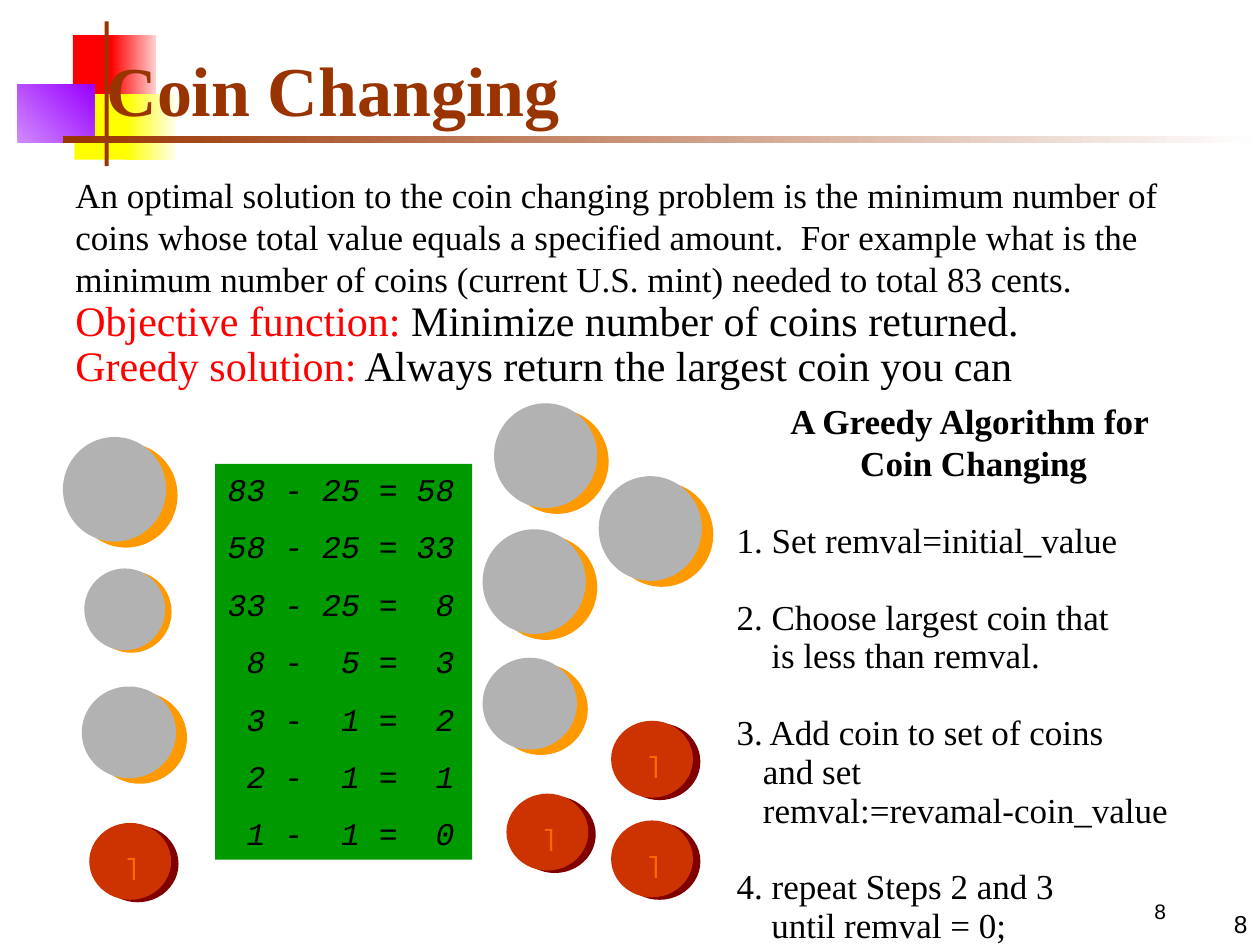
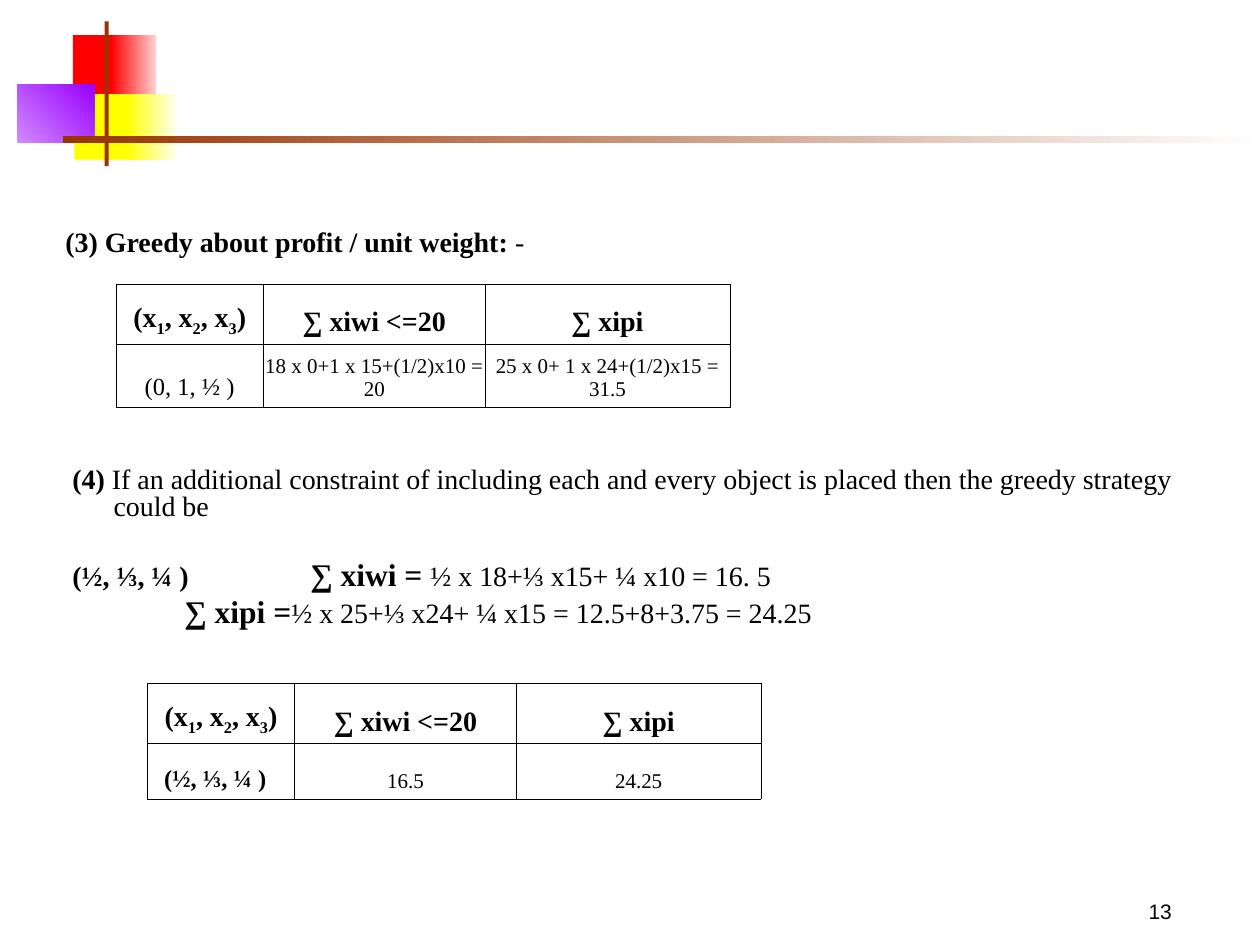
from lxml.etree import SubElement
from pptx import Presentation
from pptx.dml.color import RGBColor
from pptx.enum.shapes import MSO_SHAPE as SHAPE
from pptx.enum.text import MSO_ANCHOR as ANCHOR, PP_ALIGN as ALIGN
from pptx.oxml.ns import qn
from pptx.util import Cm, Pt

BLACK, WHITE, RED, BROWN = "000000", "FFFFFF", "FF0000", "993300"
YELLOW, ORANGE, SILVER, GREEN = "FFFF00", "FF9900", "B2B2B2", "009900"
COPPER, MAROON, AMBER = "CC3300", "800000", "FF6600"
TAB_STEP = 2.54


def paint(target, *colours, angle=0):
    """Fill a shape, cell or font with one colour, or a gradient of two."""
    if hasattr(target, "shadow"):
        target.shadow.inherit = False
        target.line.fill.background()
    if len(colours) == 1:
        target.fill.solid()
        target.fill.fore_color.rgb = RGBColor.from_string(colours[0])
        return
    target.fill.gradient()
    target.fill.gradient_angle = angle
    for stop, colour in zip(target.fill.gradient_stops, colours):
        stop.color.rgb = RGBColor.from_string(colour)


def write(frame, text, align=ALIGN.LEFT, anchor=ANCHOR.TOP, wrap=True, before=0,
          line=1.0, indent=0, hanging=0, **font):
    """Add a paragraph; text is a string or a list of (string, font changes)."""
    frame.word_wrap, frame.vertical_anchor = wrap, anchor
    para = frame.paragraphs[-1]
    if para.runs:
        para = frame.add_paragraph()
    para.alignment, para.line_spacing, para.space_before = align, line, Pt(before)
    pieces = [(text, {})] if isinstance(text, str) else text

    settings = para._p.get_or_add_pPr()
    settings.set("marL", str(int(Cm(indent))))
    settings.set("indent", str(int(Cm(-hanging))))
    if any("\t" in words for words, _ in pieces):
        stops = SubElement(settings, qn("a:tabLst"))
        for number in range(3):
            SubElement(stops, qn("a:tab"), pos=str(int(Cm(number * TAB_STEP))), algn="l")

    for words, changes in pieces:
        style = {"name": "Times New Roman", "size": 20, "bold": False,
                 "italic": False, "colour": BLACK, "baseline": 0} | font | changes
        span = para.add_run()
        span.text = words
        span.font.name, span.font.size = style["name"], Pt(style["size"])
        span.font.bold, span.font.italic = style["bold"], style["italic"]
        paint(span.font, style["colour"])
        if style["baseline"]:
            span._r.get_or_add_rPr().set("baseline", str(style["baseline"] * 1000))


deck = Presentation()
deck.slide_width, deck.slide_height = Cm(25.4), Cm(19.05)

# Shared decoration and page number: left, top, width, height, colours, angle
decoration = [
    (1.47, 0.71, 0.89, 1.32, [RED], 0),
    (2.24, 0.71, 0.91, 1.32, [RED, "FFD1D1"], 0),
    (1.5, 1.9, 1.17, 1.32, [YELLOW], 0),
    (2.54, 1.9, 1.02, 1.32, [YELLOW, "FFFFF0"], 0),
    (0.35, 1.7, 1.55, 1.18, ["D18BFF", "9900FF"], 45),
    (2.11, 0.43, 0.08, 2.92, [BROWN], 0),
    (1.27, 2.74, 24.13, 0.14, [BROWN, WHITE], 0),
]
for number in ("8", "13"):
    page = deck.slides.add_slide(deck.slide_layouts[6])
    for left, top, width, height, colours, angle in decoration:
        block = page.shapes.add_shape(SHAPE.RECTANGLE, Cm(left), Cm(top), Cm(width), Cm(height))
        paint(block, *colours, angle=angle)
    box = page.shapes.add_textbox(Cm(22.02), Cm(17.98), Cm(2.74), Cm(0.84))
    write(box.text_frame, number, align=ALIGN.CENTER, before=7.5, name="Arial", size=12)
coin_page, profit_page = deck.slides

# Coin page: second number, title and introduction
box = coin_page.shapes.add_textbox(Cm(20.12), Cm(17.78), Cm(5.28), Cm(1.27))
write(box.text_frame, "8", align=ALIGN.RIGHT, anchor=ANCHOR.BOTTOM, name="Arial", size=14)

box = coin_page.shapes.add_textbox(Cm(1.9), Cm(0.64), Cm(21.59), Cm(2.11))
write(box.text_frame, "Coin Changing", anchor=ANCHOR.BOTTOM, size=40, bold=True, colour=BROWN)

box = coin_page.shapes.add_textbox(Cm(1.27), Cm(3.38), Cm(23.06), Cm(6.17))
write(box.text_frame,
      "An optimal solution to the coin changing problem is the minimum number of coins "
      "whose total value equals a specified amount.  For example what is the minimum "
      "number of coins (current U.S. mint) needed to total 83 cents.", before=12.5)
for label, rest in [("Objective function:", " Minimize number of coins returned."),
                    ("Greedy solution:", " Always return the largest coin you can")]:
    write(box.text_frame, [(label, {"colour": RED}), (rest, {})], line=0.9, size=24)

# Subtractions, one coin at a time
panel = coin_page.shapes.add_shape(SHAPE.RECTANGLE, Cm(4.34), Cm(9.35), Cm(5.18), Cm(7.98))
paint(panel, GREEN)
remaining = 83
for coin in (25, 25, 25, 5, 1, 1, 1):
    write(panel.text_frame, f"{remaining:>2} - {coin:>2} = {remaining - coin:>2}",
          before=11.2, name="Courier New", size=18, italic=True)
    remaining -= coin

# Coins: width, height, shadow offsets, shadow and face colours, label, places
coins = [
    (2.08, 2.11, 0.23, 0.12, ORANGE, SILVER, "",
     [(1.27, 8.81), (9.73, 10.67), (12.07, 9.6), (9.96, 8.13)]),
    (1.63, 1.65, 0.13, 0.05, ORANGE, SILVER, "", [(1.7, 11.46)]),
    (1.9, 1.85, 0.22, 0.11, ORANGE, SILVER, "", [(1.65, 13.84), (9.73, 13.26)]),
    (1.65, 1.55, 0.15, 0.05, MAROON, COPPER, "1",
     [(1.8, 16.59), (10.21, 16), (12.32, 14.53), (12.32, 16.54)]),
]
for width, height, across, down, shade, face, label, places in coins:
    for left, top in places:
        for x, y, colour in [(left + across, top + down, shade), (left, top, face)]:
            disc = coin_page.shapes.add_shape(SHAPE.OVAL, Cm(x), Cm(y), Cm(width), Cm(height))
            paint(disc, colour)
        if label:
            box = coin_page.shapes.add_textbox(Cm(left + 0.64), Cm(top + 0.41), Cm(0.38), Cm(0.76))
            write(box.text_frame, label, wrap=False, name="Montserrat", size=18, colour=AMBER)

# Algorithm: a wider space opens each step, later lines are indented
box = coin_page.shapes.add_textbox(Cm(14.6), Cm(8.1), Cm(10.06), Cm(11.07))
for text, line in [("A Greedy Algorithm for ", 0.8), ("Coin Changing", 0.4)]:
    write(box.text_frame, text, align=ALIGN.CENTER, before=12.5, line=line, bold=True)
steps = [
    (0, ["1. Set remval=initial_value"]),
    (0.7, ["2. Choose largest coin that", "is less than remval."]),
    (0.53, ["3. Add coin to set of coins", "and set", "remval:=revamal-coin_value"]),
    (0.7, ["4. repeat Steps 2 and 3", "until remval = 0;"]),
]
for indent, (opening, *others) in steps:
    write(box.text_frame, opening, before=34.2, line=0.4)
    for text in others:
        write(box.text_frame, text, before=12.5, line=0.4, indent=indent)

# Profit page: body text as (space before, spans)
bold, sigma = {"bold": True}, {"bold": True, "size": 18}
body = [
    (4, [("(3) Greedy about profit / unit weight:", bold), (" -", {})]),
    (120, [(" (4) ", bold),
           ("If an additional constraint of including each and every object is placed "
            "then the greedy strategy could be ", {})]),
    (23.4, [(" (½, ⅓, ¼ )\t\t", bold), (" ∑ xiwi = ", sigma),
            ("½ x 18+⅓ x15+ ¼ x10 = 16. 5", {})]),
    (4, [("\t\t", {}), (" ∑ xipi =", sigma),
         ("½ x 25+⅓ x24+ ¼ x15 = 12.5+8+3.75 = 24.25", {})]),
]
box = profit_page.shapes.add_textbox(Cm(1.07), Cm(4.53), Cm(22.86), Cm(10.6))
for before, spans in body:
    write(box.text_frame, spans, before=before, line=0.8, indent=0.97, hanging=0.97, size=16)

# Tables: left, top, values; both have the same heading row
vector = [piece for digit, lead in zip("123", ("(x", ", x", ", x"))
          for piece in ((lead, {}), (digit, {"baseline": -25}))] + [(")", {})]
headings = [vector, "∑ xiwi <=20", "∑ xipi"]
tables = [
    (2.34, 5.72, ["(0, 1, ½ )", "18 x 0+1 x 15+(1/2)x10 = 20",
                  "25 x 0+ 1 x 24+(1/2)x15 = 31.5"], False),
    (2.97, 13.77, [" (½, ⅓, ¼ )\t", "16.5", "24.25"], True),
]
widths, heights = (2.97, 4.47, 4.93), (1.22, 1.12)
for left, top, values, bold_vector in tables:
    table = profit_page.shapes.add_table(2, 3, Cm(left), Cm(top), Cm(sum(widths)),
                                         Cm(sum(heights))).table
    table.first_row = table.horz_banding = False
    for column, width in zip(table.columns, widths):
        column.width = Cm(width)
    for row, height in zip(table.rows, heights):
        row.height = Cm(height)
    styles = [[(16, True)] * 3, [(14, bold_vector), (12, False), (12, False)]]
    for r, texts in enumerate((headings, values)):
        for c, text in enumerate(texts):
            cell = table.cell(r, c)
            cell.vertical_anchor = ANCHOR.BOTTOM
            cell.margin_left = cell.margin_right = Cm(0.03)
            cell.margin_top = cell.margin_bottom = Cm(0.13)
            size, heavy = styles[r][c]
            write(cell.text_frame, text, align=ALIGN.CENTER, size=size, bold=heavy)
            paint(cell, WHITE)
            # Thin black borders, placed before the cell fill
            cell_settings = cell._tc.get_or_add_tcPr()
            for place, side in enumerate(("a:lnL", "a:lnR", "a:lnT", "a:lnB")):
                edge = SubElement(cell_settings, qn(side), w=str(int(Pt(0.25))))
                ink = SubElement(edge, qn("a:solidFill"))
                SubElement(ink, qn("a:srgbClr"), val=BLACK)
                cell_settings.insert(place, edge)

deck.save("out.pptx")
